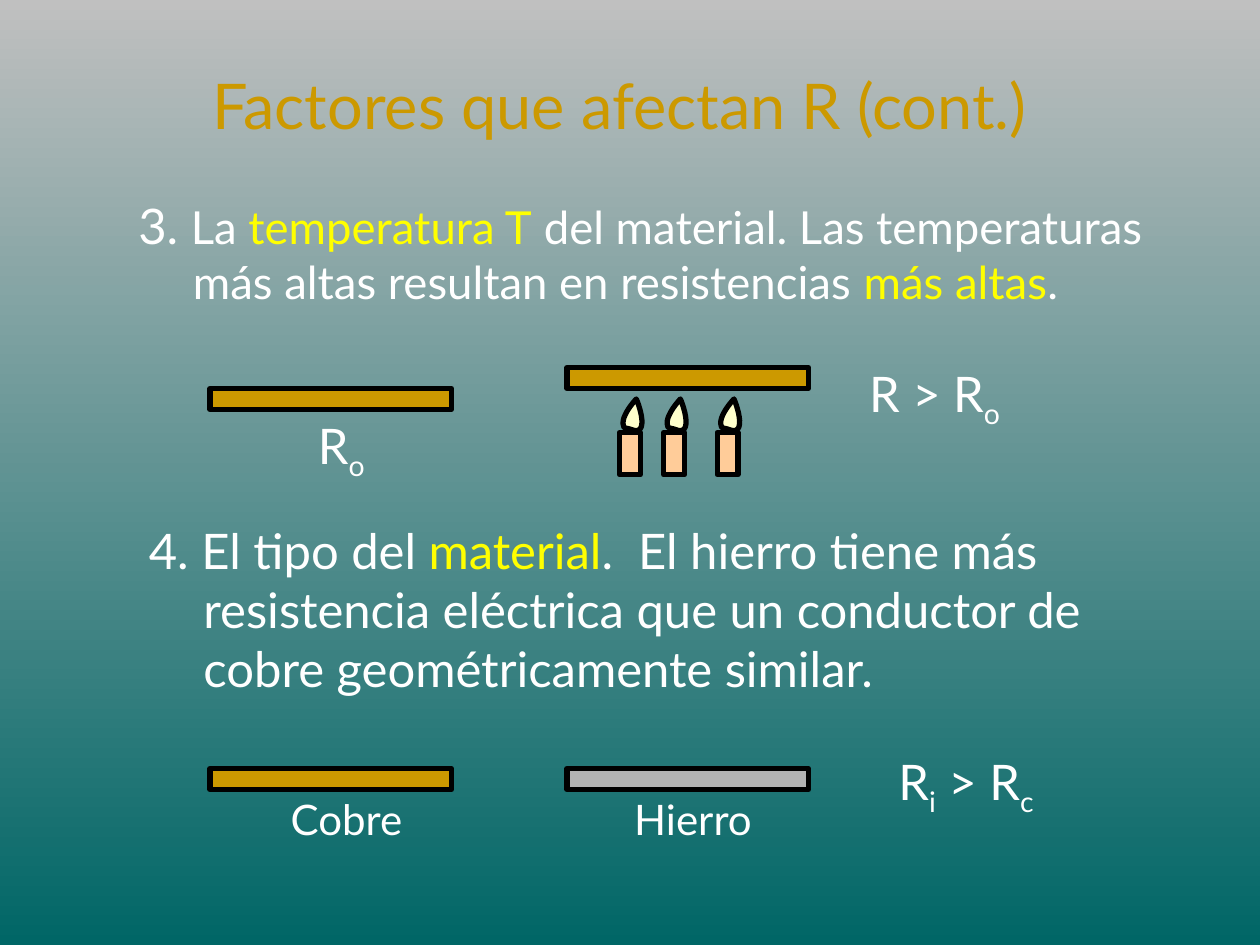
from pptx import Presentation
from pptx.dml.color import RGBColor
from pptx.enum.shapes import MSO_SHAPE as Shape
from pptx.enum.text import MSO_ANCHOR as Anchor, MSO_AUTO_SIZE as AutoSize, PP_ALIGN as Align
from pptx.util import Pt

EMU_PER_PX = 7620
WHITE, YELLOW, GOLD, GRAY = "FFFFFF", "FFFF00", "CC9900", "B2B2B2"
BLACK, WAX, FLAME = "000000", "FFCC99", "FFFFCC"
BAR_WIDTH, BAR_HEIGHT = 230, 20
FLAME_START = (11, -3)
FLAME_CURVES = [
    [(9, -4), (4, -4), (4, -6)],
    [(0, -15), (16, -32), (16, -32)],
    [(20, -23), (28, 4), FLAME_START],
]
CURVE_STEPS = 12


def px(value):
    return round(value * EMU_PER_PX)


def color(value):
    return RGBColor.from_string(value)


def apply(target, values):
    for name, value in values.items():
        setattr(target, name, value)


def write(paragraph, runs):
    for text, size, tint, *baseline in runs:
        run = paragraph.add_run()
        run.text = text
        apply(run.font, {"name": "Lato", "size": Pt(size)})
        run.font.color.rgb = color(tint)
        if baseline:
            run.font._element.set("baseline", str(baseline[0]))


def add_text(slide, box, runs, alignment=Align.CENTER, hanging=0):
    frame = slide.shapes.add_textbox(*map(px, box)).text_frame
    apply(frame, {"word_wrap": True, "auto_size": AutoSize.SHAPE_TO_FIT_TEXT})
    paragraph = frame.paragraphs[0]
    paragraph.alignment = alignment
    if hanging:
        properties = paragraph._p.get_or_add_pPr()
        properties.set("marL", str(px(hanging)))
        properties.set("indent", str(-px(hanging)))
    write(paragraph, runs)


def add_item(slide, box, runs):
    add_text(slide, box, runs, Align.LEFT, 52)


def outline(shape, fill):
    shape.shadow.inherit = False
    shape.fill.solid()
    shape.fill.fore_color.rgb = color(fill)
    shape.line.color.rgb = color(BLACK)
    shape.line.width = Pt(3)


def add_block(slide, box, fill):
    outline(slide.shapes.add_shape(Shape.RECTANGLE, *map(px, box)), fill)


def add_bar(slide, left, top, fill):
    add_block(slide, (left, top, BAR_WIDTH, BAR_HEIGHT), fill)


def curve_points(start, first, second, end):
    for step in range(1, CURVE_STEPS + 1):
        t = step / CURVE_STEPS
        weights = ((1 - t) ** 3, 3 * t * (1 - t) ** 2, 3 * t**2 * (1 - t), t**3)
        yield tuple(
            sum(weight * value for weight, value in zip(weights, axis))
            for axis in zip(start, first, second, end)
        )


def add_candle(slide, left, top):
    add_block(slide, (left, top, 20, 40), WAX)
    points, start = [], FLAME_START
    for curve in FLAME_CURVES:
        points.extend(curve_points(start, *curve))
        start = curve[-1]
    builder = slide.shapes.build_freeform(px(left + FLAME_START[0]), px(top + FLAME_START[1]))
    builder.add_line_segments([(px(left + x), px(top + y)) for x, y in points], close=True)
    outline(builder.convert_to_shape(), FLAME)


def add_background(slide):
    fill = slide.background.fill
    fill.gradient()
    fill.gradient_angle = 270
    for stop, position, tint in zip(fill.gradient_stops, (0, 1), ("C0C0C0", "006666")):
        stop.position = position
        stop.color.rgb = color(tint)


def add_title(slide, box):
    title = slide.shapes.title
    apply(title, dict(zip(("left", "top", "width", "height"), map(px, box))))
    frame = title.text_frame
    apply(frame, {"word_wrap": True, "vertical_anchor": Anchor.MIDDLE, "auto_size": AutoSize.NONE})
    paragraph = frame.paragraphs[0]
    apply(paragraph, {"alignment": Align.CENTER, "line_spacing": 0.85})
    write(paragraph, [("Factores que afectan R (cont.)", 36, GOLD)])


def add_temperature(slide, left, top):
    add_item(slide, (left - 80, top - 170, 1030, 120), [
        ("3. ", 28, WHITE),
        ("La ", 26, WHITE),
        ("temperatura T", 26, YELLOW),
        (" del material. Las temperaturas más altas resultan en resistencias ", 26, WHITE),
        ("más altas", 26, YELLOW),
        (".", 26, WHITE),
    ])
    add_bar(slide, left, top + 20, GOLD)
    add_text(slide, (left + 80, top + 40, 90, 68), [("R", 28, WHITE), ("o", 28, WHITE, -25000)])
    add_bar(slide, left + 340, top, GOLD)
    add_text(slide, (left + 580, top - 10, 220, 68),
             [("R > R", 28, WHITE), ("o", 28, WHITE, -25000)])
    for offset in (390, 432, 483):
        add_candle(slide, left + offset, top + 62)


def add_material(slide, left, top):
    add_item(slide, (left - 70, top - 242, 960, 180), [
        ("4. El tipo del ", 28, WHITE),
        ("material", 28, YELLOW),
        (".  El hierro tiene más resistencia eléctrica que un conductor de "
         "cobre geométricamente similar.", 28, WHITE),
    ])
    for bar_left, label_left, fill, label in (
        (0, 40, GOLD, "Cobre"),
        (340, 370, GRAY, "Hierro"),
    ):
        add_bar(slide, left + bar_left, top, fill)
        add_text(slide, (left + label_left, top + 18, 180, 60), [(label, 24, WHITE)])
    add_text(slide, (left + 610, top - 22, 220, 68), [
        ("R", 28, WHITE),
        ("i", 28, WHITE, -25000),
        (" > R", 28, WHITE),
        ("c", 28, WHITE, -25000),
    ])


def main():
    presentation = Presentation()
    apply(presentation, {"slide_width": px(1200), "slide_height": px(900)})
    slide = presentation.slides.add_slide(presentation.slide_layouts[5])
    add_background(slide)
    add_title(slide, (110, 30, 960, 150))
    add_temperature(slide, 200, 350)
    add_material(slide, 200, 732)
    presentation.save("out.pptx")


if __name__ == "__main__":
    main()
